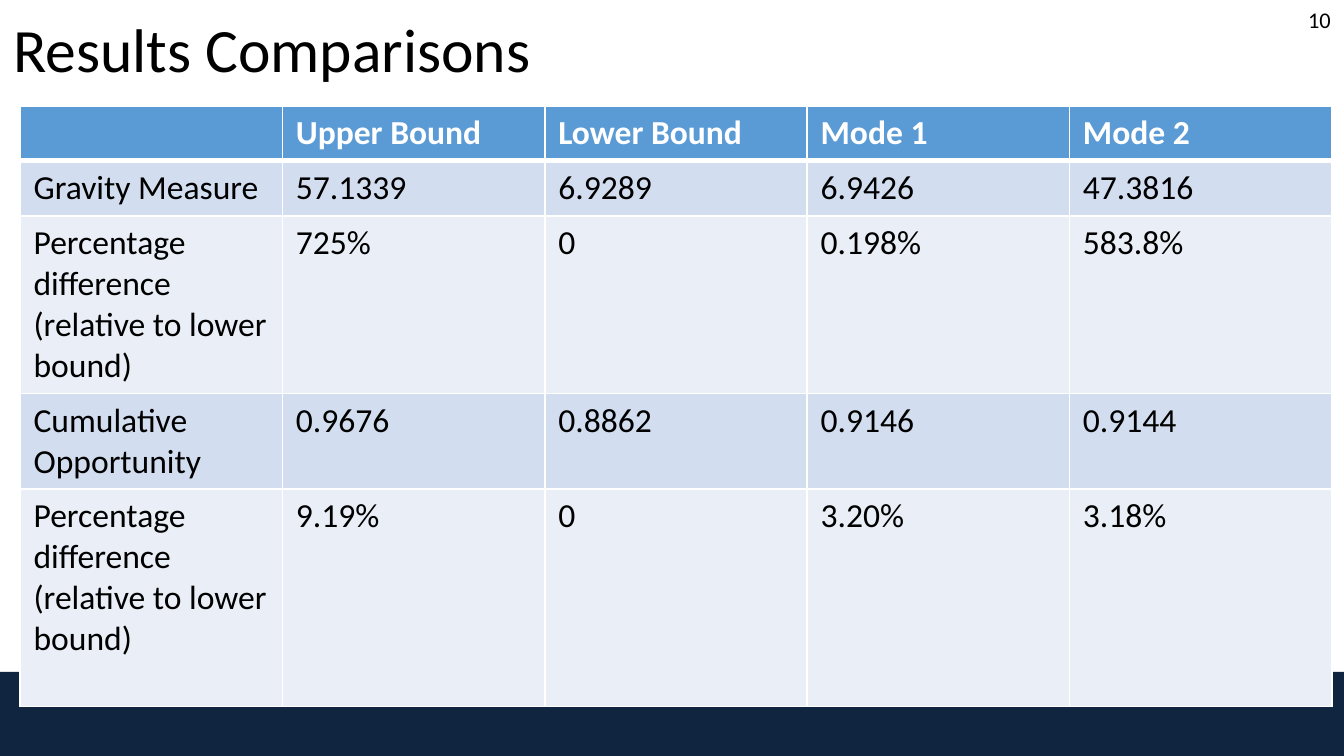
"""Build the results comparison slide with its table."""
from dataclasses import dataclass

from lxml.etree import SubElement
from pptx import Presentation
from pptx.dml.color import RGBColor as RGB
from pptx.enum.shapes import MSO_SHAPE as Shape
from pptx.enum.text import MSO_ANCHOR as Anchor, MSO_AUTO_SIZE as AutoSize, PP_ALIGN as Align
from pptx.oxml.ns import qn
from pptx.util import Inches, Pt

WIDTH = 10
HEIGHT = WIDTH * 9 / 16


@dataclass(frozen=True)
class Theme:
    font: str = "Calibri"
    title_size: int = 33
    table_size: int = 18
    number_size: int = 12
    text: str = "000000"
    light: str = "FFFFFF"
    footer: str = "10253F"
    header: str = "5B9BD5"
    bands: tuple[str, str] = ("D2DEEF", "EAEFF7")


@dataclass(frozen=True)
class Area:
    """A rectangle in shares of the slide's size."""
    x: float
    y: float
    w: float
    h: float

    def box(self) -> tuple[int, int, int, int]:
        return (Inches(self.x * WIDTH), Inches(self.y * HEIGHT),
                Inches(self.w * WIDTH), Inches(self.h * HEIGHT))


@dataclass(frozen=True)
class Row:
    label: str
    values: tuple[str, ...]
    height: float


THEME = Theme()
FOOTER = Area(0, 8 / 9, 1, 1 / 9)
TITLE = Area(0, 0, 0.86, 0.14)
NUMBER = Area(0.775, 0, 0.225, 0.05)
TABLE = Area(0.015, 0.14, 0.976, 0.8)
DIFFERENCE = "Percentage difference (relative to lower bound)"
ROWS = (
    Row("", ("Upper Bound", "Lower Bound", "Mode 1", "Mode 2"), 0.41),
    Row("Gravity Measure", ("57.1339", "6.9289", "6.9426", "47.3816"), 0.41),
    Row(DIFFERENCE, ("725%", "0", "0.198%", "583.8%"), 1.32),
    Row("Cumulative Opportunity", ("0.9676", "0.8862", "0.9146", "0.9144"), 0.71),
    Row(DIFFERENCE, ("9.19%", "0", "3.20%", "3.18%"), 1.62),
)


def write(tf, text: str, size: int, color: str, bold: bool = False, align=Align.LEFT):
    """Put one formatted paragraph in a text frame and return it."""
    tf.text = text
    tf.word_wrap = True
    p = tf.paragraphs[0]
    p.alignment = align
    p.font.name, p.font.size, p.font.bold = THEME.font, Pt(size), bold
    p.font.color.rgb = RGB.from_string(color)
    return p


def add_borders(cell, bottom: int) -> None:
    """Outline a cell with light lines, the bottom one at its own width."""
    tc_pr = cell._tc.get_or_add_tcPr()
    for side, width in (("L", 1), ("R", 1), ("T", 1), ("B", bottom)):
        ln = SubElement(tc_pr, qn(f"a:ln{side}"), w=str(Pt(width)))
        SubElement(SubElement(ln, qn("a:solidFill")), qn("a:srgbClr"), val=THEME.light)


def add_footer(s) -> None:
    """Draw the dark band at the foot of the slide."""
    sp = s.shapes.add_shape(Shape.RECTANGLE, *FOOTER.box())
    sp.shadow.inherit = False
    sp.fill.solid()
    sp.fill.fore_color.rgb = RGB.from_string(THEME.footer)
    sp.line.fill.background()


def add_title(s, text: str) -> None:
    """Place and format the title placeholder."""
    sp = s.shapes.title
    sp.left, sp.top, sp.width, sp.height = TITLE.box()
    tf = sp.text_frame
    tf.auto_size, tf.vertical_anchor = AutoSize.NONE, Anchor.MIDDLE
    write(tf, text, THEME.title_size, THEME.text).line_spacing = 0.9


def add_number(s, text: str) -> None:
    """Write the slide number in the top right corner."""
    tf = s.shapes.add_textbox(*NUMBER.box()).text_frame
    write(tf, text, THEME.number_size, THEME.text, align=Align.RIGHT)


def add_results(s, rows: tuple[Row, ...]) -> None:
    """Draw the banded table with equal columns."""
    columns = 1 + len(rows[0].values)
    table = s.shapes.add_table(len(rows), columns, *TABLE.box()).table
    for column in table.columns:
        column.width = Inches(TABLE.w * WIDTH / columns)
    for i, row in enumerate(rows):
        table.rows[i].height = Inches(row.height)
        head = i == 0
        fill = THEME.header if head else THEME.bands[(i - 1) % 2]
        for j, text in enumerate((row.label, *row.values)):
            cell = table.cell(i, j)
            add_borders(cell, 3 if head else 1)
            cell.fill.solid()
            cell.fill.fore_color.rgb = RGB.from_string(fill)
            write(cell.text_frame, text, THEME.table_size,
                  THEME.light if head else THEME.text, head)


def main() -> None:
    prs = Presentation()
    prs.slide_width, prs.slide_height = Inches(WIDTH), Inches(HEIGHT)
    s = prs.slides.add_slide(prs.slide_layouts[5])
    add_footer(s)
    add_title(s, "Results Comparisons")
    add_number(s, "10")
    add_results(s, ROWS)
    prs.save("out.pptx")


if __name__ == "__main__":
    main()
